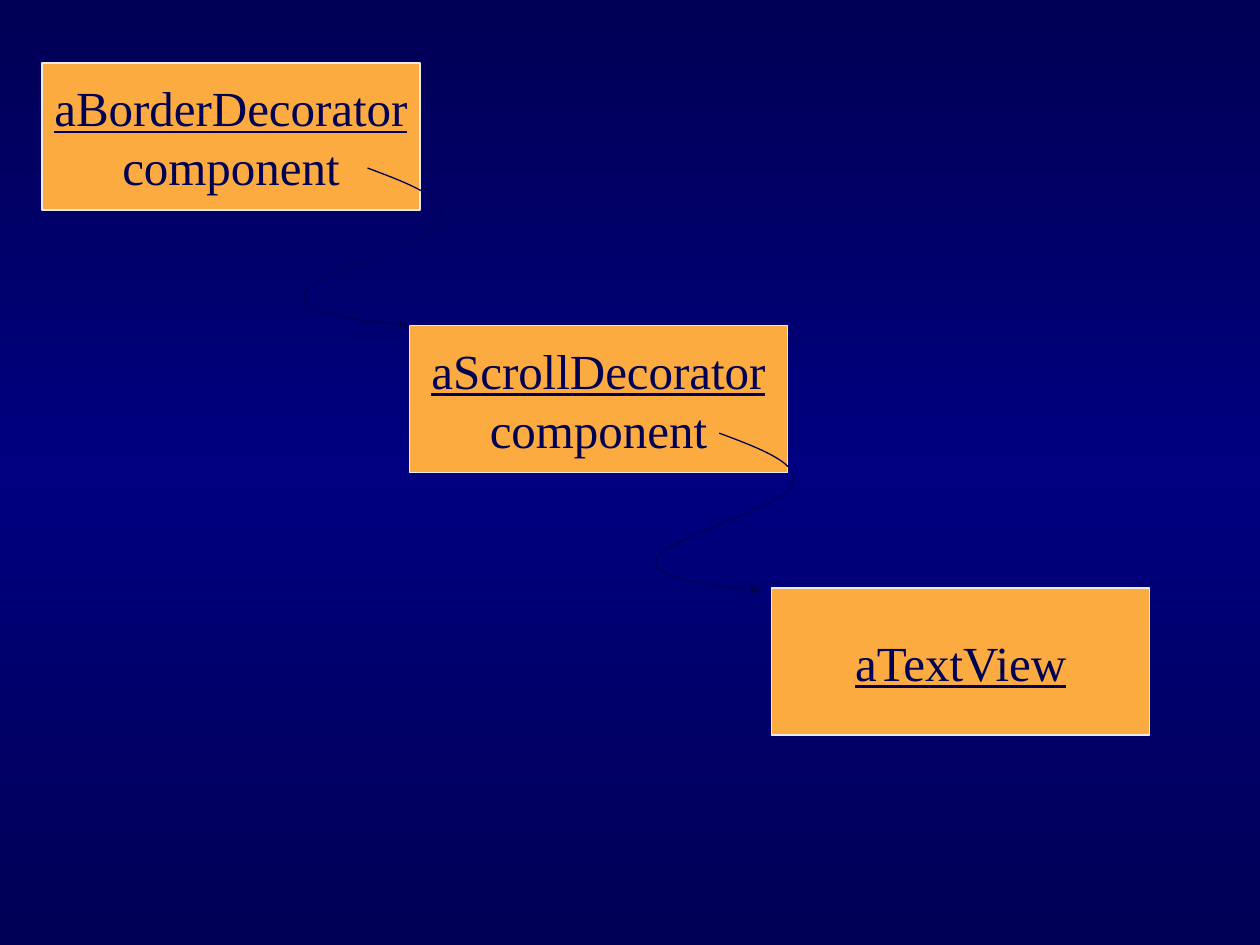
from copy import deepcopy
from itertools import accumulate

from lxml import etree
from pptx import Presentation
from pptx.dml.color import RGBColor
from pptx.enum.shapes import MSO_SHAPE
from pptx.enum.text import MSO_ANCHOR, PP_ALIGN
from pptx.oxml.ns import qn
from pptx.util import Inches, Pt

RECTANGLE = MSO_SHAPE.RECTANGLE
MIDDLE = MSO_ANCHOR.MIDDLE
CENTER = PP_ALIGN.CENTER

COLORS = {
    "navy": "000054",
    "blue": "000080",
    "orange": "FCAB40",
    "pale": "EAEAEA",
}
COLUMNS, ROWS = 240, 180
WIDTH, HEIGHT = Inches(10), Inches(7.5)
BOX_SIZE = (72, 28)
LABEL_FONT = {"name": "Times New Roman", "size": Pt(28)}
LABEL_FRAME = {"word_wrap": False, "vertical_anchor": MIDDLE}
OBJECTS = [
    (8, 12, ["aBorderDecorator", "component"]),
    (78, 62, ["aScrollDecorator", "component"]),
    (147, 112, ["aTextView"]),
]
REFERENCE_STARTS = [(70, 32), (137, 82.5)]
REFERENCE_CURVE = [
    (8, 3), (16, 6), (14, 10),
    (12, 14), (-11, 20.5), (-12, 24),
    (-13, 27.5), (-2, 29), (8, 30),
]


def color(name):
    """Return the named colour."""
    return RGBColor.from_string(COLORS[name])


def grid(column, row):
    """Turn a grid position into slide lengths."""
    return round(WIDTH * column / COLUMNS), round(HEIGHT * row / ROWS)


def apply_format(target, values):
    """Set each format value on the target."""
    for name, value in values.items():
        setattr(target, name, value)


def outline(shape, name):
    """Give a shape a thin line in the named colour and no shadow."""
    shape.shadow.inherit = False
    shape.line.color.rgb = color(name)
    shape.line.width = Pt(0.75)


def paint_background(slide):
    """Fill the slide with a vertical gradient that is brightest halfway."""
    fill = slide.background.fill
    fill.gradient()
    fill.gradient_angle = 90
    stops = slide.element.find(".//" + qn("a:gsLst"))
    stops.append(deepcopy(stops[0]))
    shades = [(0, "navy"), (0.5, "blue"), (1, "navy")]
    for stop, (position, shade) in zip(fill.gradient_stops, shades):
        stop.position = position
        stop.color.rgb = color(shade)


def add_object(slide, column, row, labels):
    """Add an object box with its underlined name and its fields."""
    box = slide.shapes.add_shape(RECTANGLE, *grid(column, row), *grid(*BOX_SIZE))
    box.fill.solid()
    box.fill.fore_color.rgb = color("orange")
    outline(box, "pale")
    frame = box.text_frame
    apply_format(frame, LABEL_FRAME)
    for index, label in enumerate(labels):
        paragraph = frame.add_paragraph() if index else frame.paragraphs[0]
        paragraph.alignment = CENTER
        run = paragraph.add_run()
        run.text = label
        apply_format(run.font, LABEL_FONT | {"underline": index == 0})
        run.font.color.rgb = color("navy")


def add_reference(slide, column, row):
    """Add a curved arrow from a component field to the object it holds."""
    points = [grid(column + dx, row + dy) for dx, dy in REFERENCE_CURVE]
    builder = slide.shapes.build_freeform(*grid(column, row))
    builder.add_line_segments(points, close=False)
    arrow = builder.convert_to_shape()
    arrow.fill.background()
    outline(arrow, "navy")
    segments = arrow.element.findall(".//" + qn("a:lnTo"))
    route = segments[0].getparent()
    for start in accumulate([0, 3, 3]):
        curve = etree.SubElement(route, qn("a:cubicBezTo"))
        for segment in segments[start:start + 3]:
            curve.append(segment[0])
            route.remove(segment)
    line = arrow.element.find(".//" + qn("a:ln"))
    etree.SubElement(line, qn("a:tailEnd"), type="triangle")


def main():
    """Build the decorator object diagram."""
    presentation = Presentation()
    presentation.slide_width, presentation.slide_height = WIDTH, HEIGHT
    slide = presentation.slides.add_slide(presentation.slide_layouts[6])
    paint_background(slide)
    for column, row, labels in OBJECTS:
        add_object(slide, column, row, labels)
    for column, row in REFERENCE_STARTS:
        add_reference(slide, column, row)
    presentation.save("out.pptx")


if __name__ == "__main__":
    main()
